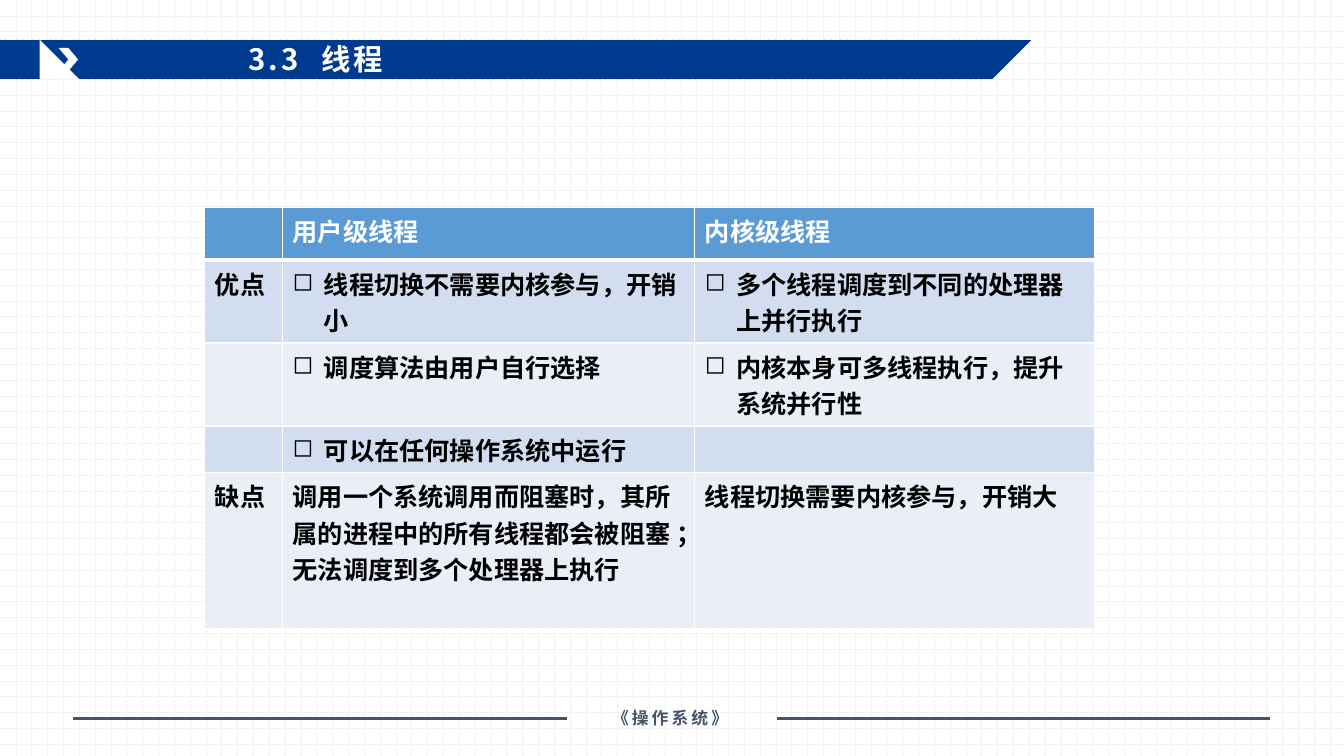
from lxml.etree import SubElement
from pptx import Presentation
from pptx.dml.color import RGBColor
from pptx.enum.dml import MSO_PATTERN
from pptx.enum.shapes import MSO_CONNECTOR, MSO_SHAPE
from pptx.enum.text import MSO_ANCHOR, MSO_AUTO_SIZE, PP_ALIGN
from pptx.oxml.ns import qn
from pptx.util import Cm, Pt

WHITE, BLACK, SLATE = "FFFFFF", "000000", "44546A"
HEADER_BLUE, BAND_DARK, BAND_LIGHT = "5B9BD5", "D2DEEF", "EAEFF7"


def color(value):
    return RGBColor.from_string(value)


class SlideBuilder:
    font = "Noto Sans CJK SC"

    def __init__(self, slide):
        self.slide = slide
        self.shapes = slide.shapes

    def pattern(self, fill, pattern, fore, back):
        fill.patterned()
        fill.pattern = pattern
        fill.fore_color.rgb = color(fore)
        fill.back_color.rgb = color(back)

    def plain(self, shape, fill=WHITE):
        shape.shadow.inherit = False
        shape.line.fill.background()
        shape.fill.solid()
        shape.fill.fore_color.rgb = color(fill)
        return shape

    def outline(self, *contours):
        builder = self.shapes.build_freeform(*contours[0][0], scale=Cm(1))
        for index, contour in enumerate(contours):
            if index:
                builder.move_to(*contour[0])
            builder.add_line_segments(contour[1:], close=True)
        return self.plain(builder.convert_to_shape())

    def chevron(self, left, top, width, height):
        self.plain(self.shapes.add_shape(
            MSO_SHAPE.CHEVRON, Cm(left), Cm(top), Cm(width), Cm(height)))

    def rule(self, start, end, y):
        line = self.shapes.add_connector(
            MSO_CONNECTOR.STRAIGHT, Cm(start), Cm(y), Cm(end), Cm(y))
        line.line.color.rgb = color(SLATE)
        line.line.width = Pt(2)
        SubElement(line._element.spPr, qn("a:effectLst"))

    def set_text(self, paragraph, text, size, ink, font=None, spacing=0):
        paragraph.text = text
        for run in paragraph.runs:
            run.font.size = Pt(size)
            run.font.bold = True
            run.font.color.rgb = color(ink)
            run.font.name = font or self.font
            properties = run.font._element
            SubElement(properties, qn("a:ea"), typeface=self.font)
            if spacing:
                properties.set("spc", str(spacing))

    def title(self, text, left, top, width, height):
        title = self.shapes.title
        title.left, title.top = Cm(left), Cm(top)
        title.width, title.height = Cm(width), Cm(height)
        frame = title.text_frame
        frame.auto_size = MSO_AUTO_SIZE.NONE
        frame.vertical_anchor = MSO_ANCHOR.TOP
        heading = frame.paragraphs[0]
        self.set_text(heading, text, 21, WHITE, spacing=220)
        heading.alignment = PP_ALIGN.LEFT
        heading.line_spacing = 0.9

    def label(self, text, left, top, width, height):
        frame = self.shapes.add_textbox(
            Cm(left), Cm(top), Cm(width), Cm(height)).text_frame
        frame.word_wrap = True
        frame.vertical_anchor = MSO_ANCHOR.MIDDLE
        self.set_text(frame.paragraphs[0], text, 12, SLATE, "Arial", 220)
        frame.paragraphs[0].alignment = PP_ALIGN.CENTER

    def bullet(self, paragraph):
        properties = paragraph._p.get_or_add_pPr()
        indent = Cm(0.79)
        properties.set("marL", str(indent))
        properties.set("indent", str(-indent))
        SubElement(properties, qn("a:buChar"), char="◻")

    def borders(self, cell, top, bottom):
        properties = cell._tc.get_or_add_tcPr()
        sides = {"lnL": 1, "lnR": 1, "lnT": top, "lnB": bottom}
        for side, points in sides.items():
            line = SubElement(properties, qn(f"a:{side}"), w=str(Pt(points)))
            fill = SubElement(line, qn("a:solidFill"))
            SubElement(fill, qn("a:srgbClr"), val=WHITE)

    def table(self, rows, left, top, widths, heights):
        table = self.shapes.add_table(
            len(rows), len(widths), Cm(left), Cm(top),
            Cm(sum(widths)), Cm(sum(heights))).table
        for column, width in zip(table.columns, widths):
            column.width = Cm(width)
        for row, height in zip(table.rows, heights):
            row.height = Cm(height)
        for r, texts in enumerate(rows):
            band = BAND_DARK if r % 2 else BAND_LIGHT
            for c, text in enumerate(texts):
                cell = table.cell(r, c)
                self.borders(cell, 3 if r == 1 else 1, 3 if r == 0 else 1)
                cell.fill.solid()
                cell.fill.fore_color.rgb = color(band if r else HEADER_BLUE)
                paragraph = cell.text_frame.paragraphs[0]
                if text.startswith("◻"):
                    self.bullet(paragraph)
                self.set_text(paragraph, text.lstrip("◻"), 18, BLACK if r else WHITE)


def main():
    deck = Presentation()
    deck.slide_width, deck.slide_height = Cm(33.87), Cm(19.05)
    page = SlideBuilder(deck.slides.add_slide(deck.slide_layouts[5]))
    page.pattern(page.slide.background.fill, MSO_PATTERN.DOTTED_GRID, "F2F2F2", WHITE)

    # Header banner with two slanted stripes
    top, bottom = 0.74, 2.36
    banner = page.outline(
        [(26.32, top), (26.35, top), (25.35, bottom), (25.3, bottom)],
        [(26.06, top), (26.21, top), (25.2, bottom), (25.04, bottom)],
        [(0, top), (25.96, top), (24.94, bottom), (0, bottom)])
    page.pattern(banner.fill, MSO_PATTERN.WIDE_UPWARD_DIAGONAL, "00449A", "003A8F")

    # Arrow mark: a chevron followed by two thinner ones
    top, height, reach = 1.21, 0.58, 0.24
    middle, bottom = top + height / 2, top + height
    page.chevron(1.48, top, 0.49, height)
    for left, thickness in ((1.33, 0.09), (1.23, 0.05)):
        right = left + thickness
        page.outline([(left, top), (right, top), (right + reach, middle),
                      (right, bottom), (left, bottom), (left + reach, middle)])

    # Footer
    page.label("《操作系统》", 14.25, 17.72, 5.28, 0.76)
    for start, end in ((1.85, 14.28), (19.58, 32)):
        page.rule(start, end, 18.11)

    # Title, moved in front of the banner
    page.title("3.3  线程", 6, 1.02, 6.78, 1.42)
    page.shapes._spTree.append(page.shapes.title._element)

    # Comparison of thread types
    page.table([
        ("", "用户级线程", "内核级线程"),
        ("优点", "◻线程切换不需要内核参与，开销小",
         "◻多个线程调度到不同的处理器上并行执行"),
        ("", "◻调度算法由用户自行选择", "◻内核本身可多线程执行，提升系统并行性"),
        ("", "◻可以在任何操作系统中运行", ""),
        ("缺点", "调用一个系统调用而阻塞时，其所属的进程中的所有线程都会被阻塞 ；"
         "无法调度到多个处理器上执行", "线程切换需要内核参与，开销大"),
    ], 5.16, 5.23, (1.96, 10.39, 10.08), (1.32, 2.08, 2.08, 1.17, 3.94))

    deck.save("out.pptx")


if __name__ == "__main__":
    main()
